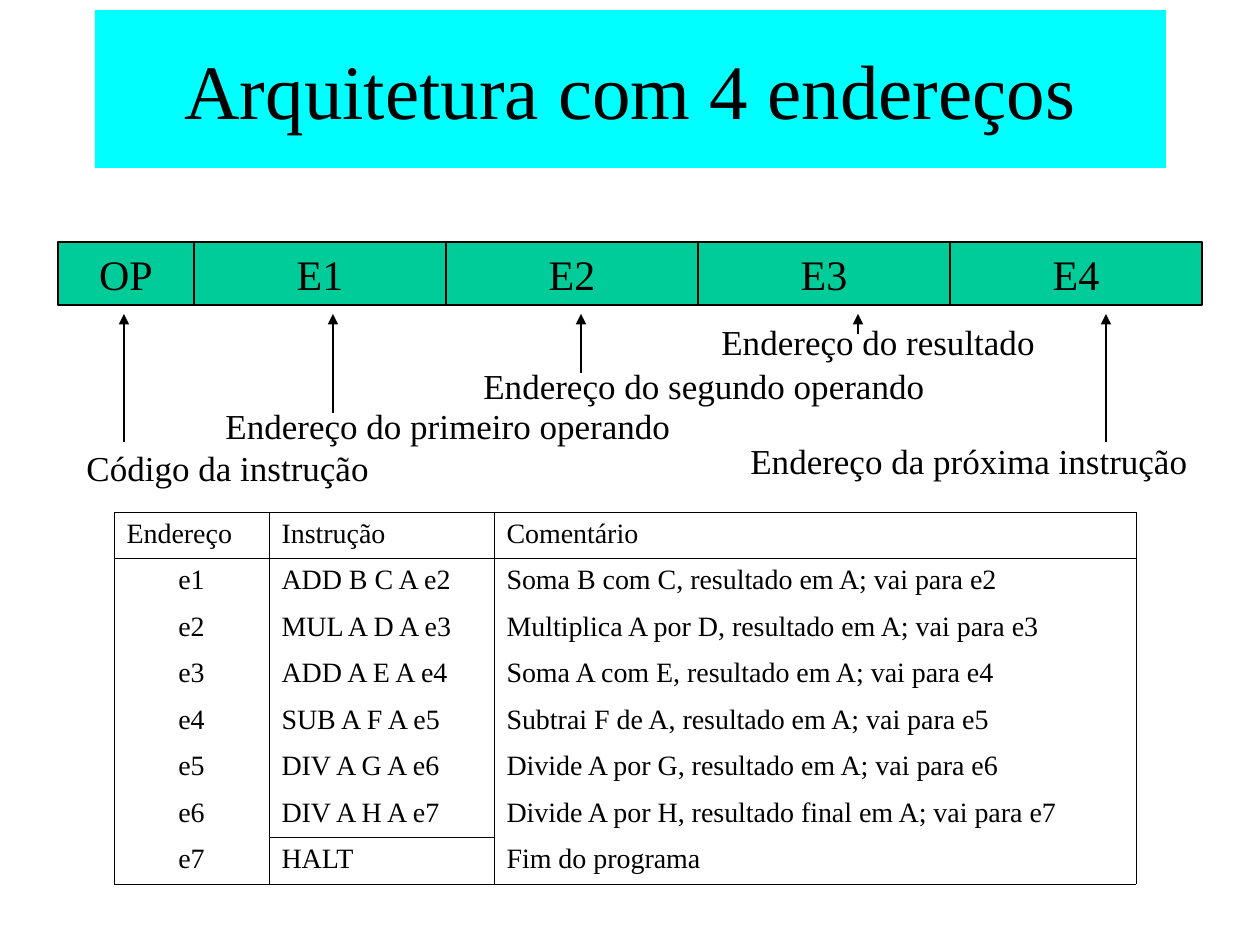
from dataclasses import dataclass

from pptx import Presentation
from pptx.dml.color import RGBColor
from pptx.enum.shapes import MSO_CONNECTOR as CONN, MSO_SHAPE as SHAPE
from pptx.enum.text import MSO_ANCHOR as ANCHOR, MSO_AUTO_SIZE as AUTOSIZE, PP_ALIGN as ALIGN
from pptx.oxml.ns import qn
from pptx.util import Emu, Pt
from lxml.etree import SubElement

COLORS = {"title": "00FFFF", "field": "00CC99", "ink": "000000"}
FONT = "Times New Roman"
EMU_PER_PX = 914400 / 126


@dataclass
class Field:
    name: str
    width: int


@dataclass
class Label:
    text: str
    left: int
    top: int
    width: int
    arrow_x: int
    arrow_start: int


FIELDS = [Field("OP", 136)] + [Field(f"E{i}", 252) for i in range(1, 5)]
FIELD_LEFT, FIELD_TOP, FIELD_HEIGHT = 58, 242, 63

LABELS = [
    Label("Código da instrução", 74, 440, 311, 124, 442),
    Label("Endereço do primeiro operando", 213, 398, 473, 333, 413),
    Label("Endereço do segundo operando", 471, 358, 469, 581, 373),
    Label("Endereço do resultado", 709, 314, 342, 858, 334),
    Label("Endereço da próxima instrução", 738, 433, 465, 1106, 442),
]
LABEL_HEIGHT, ARROW_TIP = 55, 314

PROGRAM = [
    ("Endereço", "Instrução", "Comentário"),
    ("e1", "ADD B C A e2", "Soma B com C, resultado em A; vai para e2"),
    ("e2", "MUL A D A e3", "Multiplica A por D, resultado em A; vai para e3"),
    ("e3", "ADD A E A e4", "Soma A com E, resultado em A; vai para e4"),
    ("e4", "SUB A F A e5", "Subtrai F de A, resultado em A; vai para e5"),
    ("e5", "DIV A G A e6", "Divide A por G, resultado em A; vai para e6"),
    ("e6", "DIV A H A e7", "Divide A por H, resultado final em A; vai para e7"),
    ("e7", "HALT", "Fim do programa"),
]
COLUMN_WIDTHS = (155, 225, 642)
TABLE_LEFT, TABLE_TOP, TABLE_HEIGHT = 114, 512, 372


def px(n: int) -> Emu:
    return Emu(round(n * EMU_PER_PX))


def rgb(name: str) -> RGBColor:
    return RGBColor.from_string(COLORS[name])


def write(tf, text: str, *, size: int, align=ALIGN.LEFT, anchor=ANCHOR.TOP, wrap=None) -> None:
    if wrap is not None:
        tf.word_wrap = wrap
        tf.vertical_anchor = anchor
    p = tf.paragraphs[0]
    p.alignment = align
    r = p.add_run()
    r.text = text
    r.font.size, r.font.name = Pt(size), FONT
    r.font.color.rgb = rgb("ink")


def add_title(slide, text: str) -> None:
    sp = slide.shapes.title
    sp.left, sp.top, sp.width, sp.height = px(95), px(10), px(1071), px(158)
    sp.fill.solid()
    sp.fill.fore_color.rgb = rgb("title")
    write(sp.text_frame, text, size=44, align=ALIGN.CENTER, anchor=ANCHOR.MIDDLE, wrap=True)


def add_field(slide, field: Field, left: int) -> None:
    sp = slide.shapes.add_shape(SHAPE.RECTANGLE, px(left), px(FIELD_TOP),
                                px(field.width), px(FIELD_HEIGHT))
    sp.shadow.inherit = False
    sp.fill.solid()
    sp.fill.fore_color.rgb = rgb("field")
    sp.line.color.rgb = rgb("ink")
    sp.line.width = Pt(0.75)
    write(sp.text_frame, field.name, size=24, align=ALIGN.CENTER, anchor=ANCHOR.MIDDLE, wrap=False)


def add_label(slide, label: Label) -> None:
    sp = slide.shapes.add_textbox(px(label.left), px(label.top), px(label.width), px(LABEL_HEIGHT))
    write(sp.text_frame, label.text, size=20, wrap=False)
    sp.text_frame.auto_size = AUTOSIZE.SHAPE_TO_FIT_TEXT


def add_arrow(slide, x: int, start: int) -> None:
    line = slide.shapes.add_connector(CONN.STRAIGHT, px(x), px(start), px(x), px(ARROW_TIP))
    line.line.color.rgb = rgb("ink")
    line.line.width = Pt(0.75)
    SubElement(line.line._get_or_add_ln(), qn("a:tailEnd"), type="triangle")
    SubElement(line._element.spPr, qn("a:effectLst"))


def set_borders(cell, visible: str) -> None:
    """Draw the sides named in visible (letters of LRTB) and clear the others."""
    tcPr = cell._tc.get_or_add_tcPr()
    for side in "LRTB":
        ln = SubElement(tcPr, qn(f"a:ln{side}"), w=str(Pt(0.06)))
        if side in visible:
            fill = SubElement(ln, qn("a:solidFill"))
            SubElement(fill, qn("a:srgbClr"), val=COLORS["ink"])
        else:
            SubElement(ln, qn("a:noFill"))


def visible_sides(row: int, col: int) -> str:
    last = len(PROGRAM) - 1
    ruled_below = {0, last} | ({last - 1} if col == 1 else set())
    top = "T" if row == 0 or row - 1 in ruled_below else ""
    bottom = "B" if row in ruled_below else ""
    return "LR" + top + bottom


def add_program_table(slide) -> None:
    frame = slide.shapes.add_table(len(PROGRAM), len(COLUMN_WIDTHS), px(TABLE_LEFT), px(TABLE_TOP),
                                   px(sum(COLUMN_WIDTHS)), px(TABLE_HEIGHT))
    table = frame.table
    table.first_row = table.horz_banding = False
    for column, width in zip(table.columns, COLUMN_WIDTHS):
        column.width = px(width)
    for i, texts in enumerate(PROGRAM):
        for j, text in enumerate(texts):
            cell = table.cell(i, j)
            set_borders(cell, visible_sides(i, j))
            cell.fill.background()
            align = ALIGN.CENTER if i and j == 0 else ALIGN.JUSTIFY
            write(cell.text_frame, text, size=16, align=align)


def main() -> None:
    prs = Presentation()
    prs.slide_width, prs.slide_height = px(1260), px(945)
    slide = prs.slides.add_slide(prs.slide_layouts.get_by_name("Title Only"))

    add_title(slide, "Arquitetura com 4 endereços")
    left = FIELD_LEFT
    for field in FIELDS:
        add_field(slide, field, left)
        left += field.width
    add_program_table(slide)
    for label in LABELS:
        add_label(slide, label)
    for label in LABELS:
        add_arrow(slide, label.arrow_x, label.arrow_start)
    prs.save("out.pptx")


if __name__ == "__main__":
    main()
